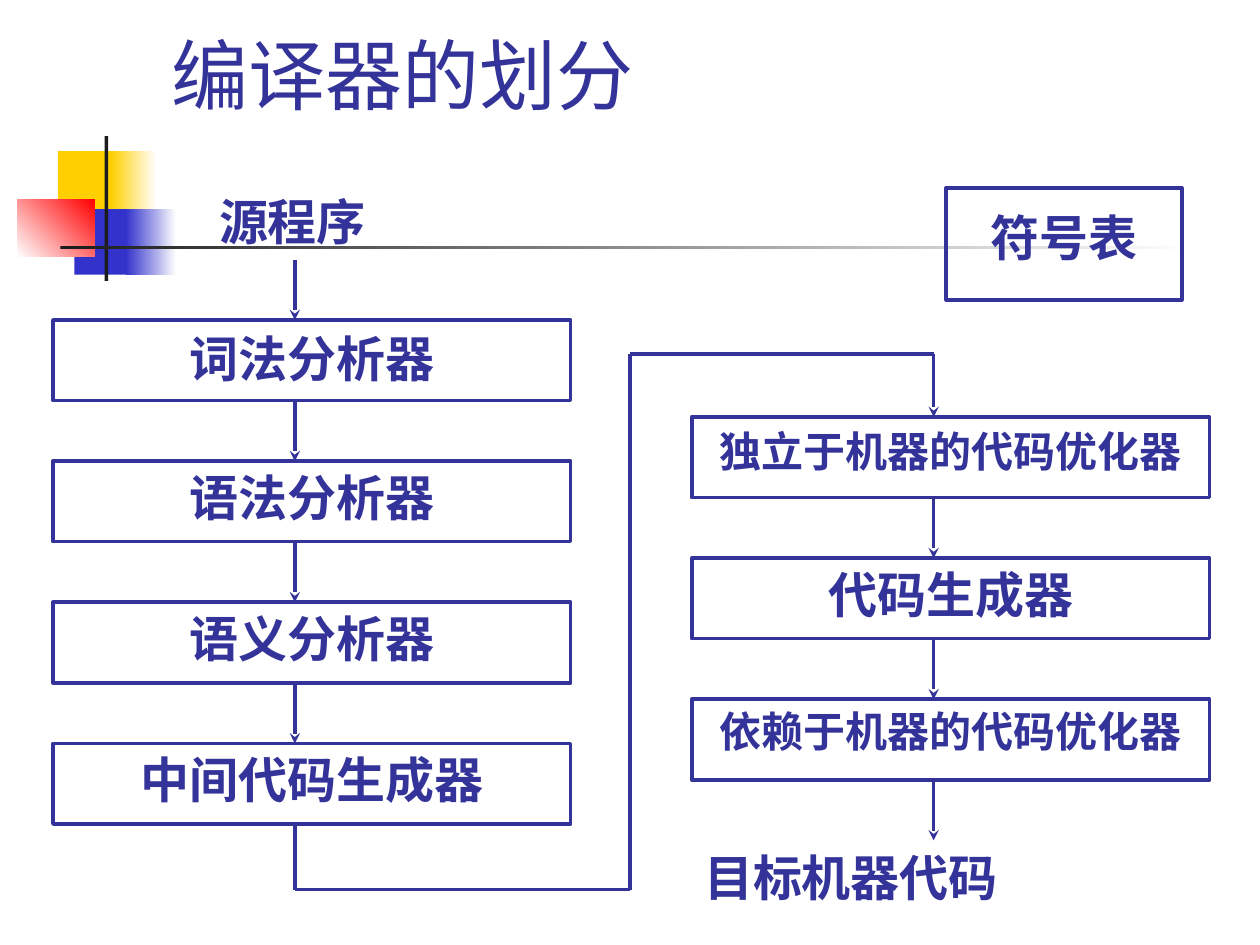
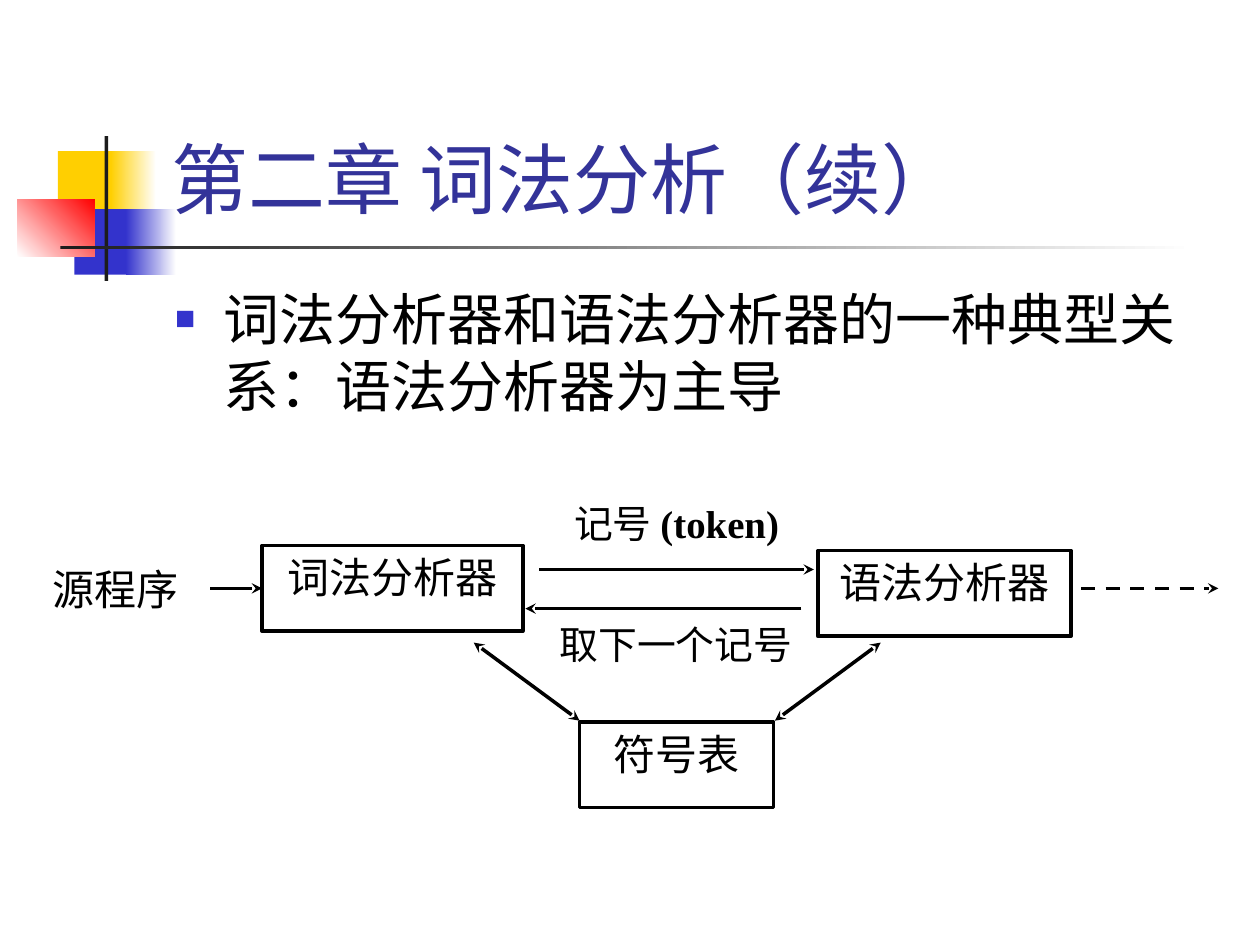
import dataclasses
import itertools

import lxml.etree
import pptx
import pptx.dml.color
import pptx.enum.dml
import pptx.enum.shapes
import pptx.enum.text
import pptx.oxml.ns
import pptx.util

Pt = pptx.util.Pt
Align = pptx.enum.text.PP_ALIGN
Anchor = pptx.enum.text.MSO_ANCHOR
qn = pptx.oxml.ns.qn


@dataclasses.dataclass(frozen=True)
class Theme:
    navy: str = "333399"
    blue: str = "3333CC"
    gold: str = "FFCF01"
    red: str = "FF0000"
    dark: str = "1C1C1C"
    black: str = "000000"
    white: str = "FFFFFF"
    sans: str = "Lato"
    serif: str = "Times New Roman"
    title: float = 44
    body: float = 32
    large: float = 28
    small: float = 24
    note: float = 22.2
    line: float = 2


T = Theme()
COLS, ROWS = 100, 75
WIDTH, HEIGHT = pptx.util.Inches(10), pptx.util.Inches(7.5)


def grid(col, row):
    return round(col * WIDTH / COLS), round(row * HEIGHT / ROWS)


def rgb(code):
    return pptx.dml.color.RGBColor.from_string(code)


def style(par, size, color, font=T.serif, bold=False, align=Align.LEFT):
    par.alignment = align
    par.font.size = Pt(size)
    par.font.name = font
    par.font.bold = bold
    par.font.color.rgb = rgb(color)


def place(shape, at):
    shape.left, shape.top = grid(*at[:2])
    shape.width, shape.height = grid(*at[2:])


def rect(slide, at):
    kind = pptx.enum.shapes.MSO_SHAPE.RECTANGLE
    shape = slide.shapes.add_shape(kind, *grid(*at[:2]), *grid(*at[2:]))
    shape.shadow.inherit = False
    return shape


def patch(slide, at, color, end=None, angle=0):
    """Draw a borderless block, fading from color to end if one is given."""
    shape = rect(slide, at)
    shape.line.fill.background()
    if end is None:
        shape.fill.solid()
        shape.fill.fore_color.rgb = rgb(color)
        return
    shape.fill.gradient()
    shape.fill.gradient_angle = angle
    for stop, code in zip(shape.fill.gradient_stops, (color, end)):
        stop.color.rgb = rgb(code)


def banner(slide):
    patch(slide, (4.6, 12, 4.8, 5.2), T.gold)
    patch(slide, (8.8, 12, 3.6, 5.2), T.gold, T.white)
    patch(slide, (5.9, 16.6, 4.6, 5.2), T.blue)
    patch(slide, (10, 16.6, 4, 5.2), T.blue, T.white)
    patch(slide, (1.4, 15.8, 6.1, 4.6), T.white, T.red, 45)
    patch(slide, (8.3, 10.8, 0.3, 11.5), T.dark)
    patch(slide, (4.8, 19.5, 90, 0.3), T.dark, T.white)


def start(deck, layout, title, height):
    """Add a slide with the shared banner and title."""
    slide = deck.slides.add_slide(deck.slide_layouts[layout])
    banner(slide)
    head = slide.shapes.title
    place(head, (12.6, 2.3, 85.2, height))
    head.text_frame.text = title
    head.text_frame.vertical_anchor = Anchor.BOTTOM
    head.text_frame.auto_size = pptx.enum.text.MSO_AUTO_SIZE.NONE
    style(head.text_frame.paragraphs[0], T.title, T.navy, T.sans)
    return slide


def bullet(holder, text):
    frame = holder.text_frame
    frame.text = text
    frame.auto_size = pptx.enum.text.MSO_AUTO_SIZE.NONE
    par = frame.paragraphs[0]
    par.space_before = Pt(0)
    props = par._p.get_or_add_pPr()
    indent = pptx.util.Inches(0.38)
    props.set("marL", str(indent))
    props.set("indent", str(-indent))
    tint = lxml.etree.SubElement(props, qn("a:buClr"))
    lxml.etree.SubElement(tint, qn("a:srgbClr"), val=T.blue)
    lxml.etree.SubElement(props, qn("a:buSzPct"), val="60000")
    lxml.etree.SubElement(props, qn("a:buChar"), char="■")
    style(par, T.body, T.black, T.sans)


def write(shape, text, size, color, inset=0.05, **look):
    frame = shape.text_frame
    frame.word_wrap = True
    frame.vertical_anchor = Anchor.TOP
    frame.margin_top = pptx.util.Inches(inset)
    frame.text = text
    style(frame.paragraphs[0], size, color, **look)
    return frame.paragraphs[0]


def box(slide, at, text, size, color, **look):
    shape = rect(slide, at)
    shape.fill.background()
    shape.line.color.rgb = rgb(color)
    shape.line.width = Pt(T.line)
    write(shape, text, size, color, align=Align.CENTER, **look)
    return shape


def label(slide, at, text, size, color, **look):
    shape = slide.shapes.add_textbox(*grid(*at[:2]), *grid(*at[2:]))
    return write(shape, text, size, color, **look)


def link(slide, begin, end, color, head=False, tail=True, dash=False):
    kind = pptx.enum.shapes.MSO_CONNECTOR.STRAIGHT
    wire = slide.shapes.add_connector(kind, *grid(*begin), *grid(*end))
    wire.line.color.rgb = rgb(color)
    wire.line.width = Pt(T.line)
    if dash:
        wire.line.dash_style = pptx.enum.dml.MSO_LINE.DASH
    stroke = wire.line._get_or_add_ln()
    for name, shown in (("a:headEnd", head), ("a:tailEnd", tail)):
        if shown:
            lxml.etree.SubElement(stroke, qn(name), type="stealth")
    lxml.etree.SubElement(wire.element.spPr, qn("a:effectLst"))
    return wire


def route(slide, points, color):
    """Join points with lines; only the last one has an arrowhead."""
    pairs = list(itertools.pairwise(points))
    for pair in pairs:
        link(slide, *pair, color, tail=pair == pairs[-1])


def phases(deck):
    slide = start(deck, 5, "编译器的划分", 7.7)
    wide, tall, gap = 41.1, 6.4, 4.8
    step = tall + gap
    left, right = 4.2, 54.9
    first, second = 25.4, 33.1
    lane = 19.2
    down, away = left + lane, right + lane

    label(slide, (16.4, 14.7, 17.8, tall), "源程序", T.large, T.navy, bold=True)
    front = ("词法分析器", "语法分析器", "语义分析器", "中间代码生成器")
    for i, name in enumerate(front):
        top = first + i * step
        box(slide, (left, top, wide, tall), name, T.large, T.navy,
            bold=True, inset=0.05 if i else 0.07)
        link(slide, (down, top - gap), (down, top), T.navy)

    back = (("独立于机器的代码优化器", T.small, T.serif),
            ("代码生成器", T.large, T.serif),
            ("依赖于机器的代码优化器", T.small, T.sans))
    for i, (name, size, font) in enumerate(back):
        top = second + i * step
        base = top + tall
        box(slide, (right, top, wide, tall), name, size, T.navy,
            bold=True, font=font, inset=0.05 if i else 0.07)
        link(slide, (away, base), (away, base + gap), T.navy)
    label(slide, (right, 66.8, wide, 5.7), "目标机器代码", T.large, T.navy,
          bold=True)

    floor, roof, turn = 70.6, 28.1, 50
    route(slide, ((down, first + 3 * step + tall), (down, floor),
                  (turn, floor), (turn, roof), (away, roof),
                  (away, second)), T.navy)
    box(slide, (75.1, 14.9, 18.7, 8.9), "符号表", T.large, T.navy,
        bold=True, inset=0.16)


def lexing(deck):
    slide = start(deck, 1, "第二章 词法分析（续）", 16)
    body = slide.placeholders[1]
    place(body, (12.9, 22.1, 85, 45))
    bullet(body, "词法分析器和语法分析器的一种典型关系：语法分析器为主导")

    tall, axis = 6.8, 46.7
    lexer = box(slide, (20.8, 43.3, 20.7, tall), "词法分析器", T.small, T.black)
    box(slide, (64.9, 43.7, 20.1, tall), "语法分析器", T.small, T.black)
    box(slide, (46, 57.3, 15.4, tall), "符号表", T.small, T.black)

    for top, low in ((37.6, 46), (69.9, 61.5)):
        link(slide, (top, 51), (low, 57.2), T.black, head=True)
    link(slide, (42.8, 45.2), (64.6, 45.2), T.black)
    link(slide, (63.6, 48.3), (41.7, 48.3), T.black)
    link(slide, (16.7, axis), (20.8, axis), T.black).end_connect(lexer, 1)
    link(slide, (85.8, axis), (96.7, axis), T.black, dash=True)

    mid = Align.CENTER
    token = label(slide, (43.7, 39.6, 20, 5), "记号 ", T.note, T.black, align=mid)
    run = token.add_run()
    run.text = "(token)"
    run.font.bold = True
    fetch = label(slide, (42.5, 49.2, 22.3, 5), "取下一个记号", T.note, T.black,
                  align=mid)
    for par in (token, fetch):
        par.line_spacing = 0.9
    label(slide, (2.5, 44.2, 13.3, 6.9), "源程序", T.small, T.black, align=mid)


def main():
    deck = pptx.Presentation()
    deck.slide_width, deck.slide_height = WIDTH, HEIGHT
    phases(deck)
    lexing(deck)
    deck.save("out.pptx")


if __name__ == "__main__":
    main()
